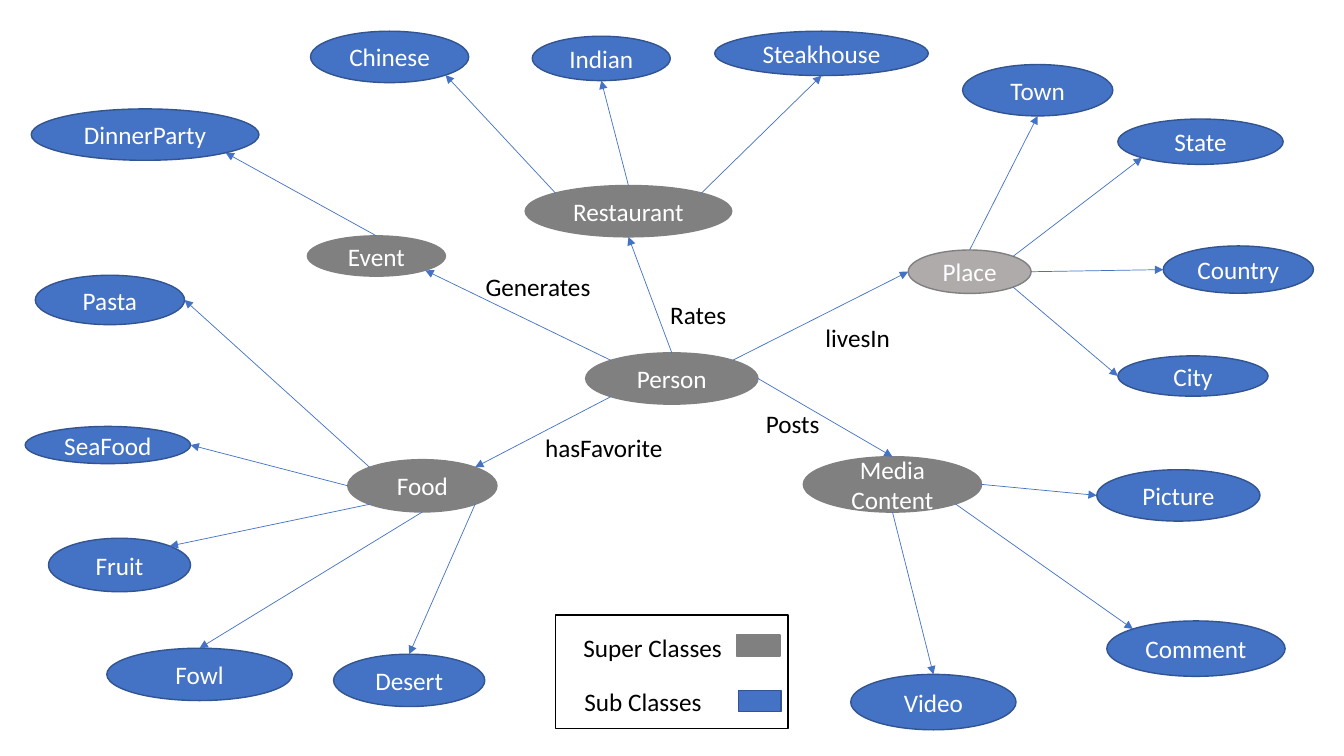
import math

from lxml import etree
from pptx import Presentation
from pptx.dml.color import RGBColor
from pptx.enum import shapes, text
from pptx.oxml.ns import qn
from pptx.util import Pt

HUE = {
    "super": "808080",
    "place": "AFABAB",
    "sub": "4472C4",
    "edge": "325491",
    "white": "FFFFFF",
    "black": "000000",
}
OVAL = shapes.MSO_SHAPE.OVAL
RECT = shapes.MSO_SHAPE.RECTANGLE
# Connection sites of an ellipse, counterclockwise from the top
SITES = ["N", "NW", "W", "SW", "S", "SE", "E", "NE"]

PERSON = (418.3, 252, 123.1, 36.7)
# Hub, box, fill, subclasses: name, offset from hub, size, site at hub, site at sub
HUBS = [
    ("Restaurant", (375.1, 132.5, 147.6, 36.7), "super", [
        ("Chinese", (-153.3, -110.2, 113, 36.7), "NW", "SE"),
        ("Indian", (5.1, -106.6, 98.6, 31.7), "N", "S"),
        ("Steakhouse", (135.4, -110.2, 152.6, 31.7), "NE", "S"),
    ]),
    ("Event", (219.6, 168.5, 98.6, 28.8), "super", [
        ("DinnerParty", (-197.3, -90.7, 162.7, 36.7), "N", "SE"),
    ]),
    ("Place", (648.7, 178.6, 87.8, 31), "place", [
        ("Town", (38.9, -132.5, 107.3, 36.7), "N", "S"),
        ("State", (149.8, -93.6, 118.1, 32.4), "NE", "SW"),
        ("Country", (182.2, -2.9, 107.3, 33.8), "E", "W"),
        ("City", (149.8, 75.6, 107.3, 28.8), "SE", "W"),
    ]),
    ("Food", (248.4, 328.3, 106.6, 37.4), "super", [
        ("Pasta", (-223.2, -131.7, 106.6, 35.3), "NW", "E"),
        ("SeaFood", (-230.4, -23.7, 118.1, 26.6), "W", "E"),
        ("Fruit", (-213.8, 56.2, 101.5, 38.2), "SW", "NE"),
        ("Fowl", (-172.1, 134.7, 132.5, 37.4), "S", "N"),
        ("Desert", (-10.1, 139, 108, 37.4), "SE", "N"),
    ]),
    ("Media Content", (573.8, 326.2, 127.4, 39.6), "super", [
        ("Picture", (209.6, 9.3, 116.6, 36.7), "E", "W"),
        ("Comment", (216.8, 117.3, 127.4, 39.6), "SE", "NW"),
        ("Video", (33.9, 155.5, 118.1, 39.6), "S", "N"),
    ]),
]
# Label, offset from Person and width, hub, site at Person, site at hub
VERBS = [
    ("Posts", (121.7, 36, 86.4), "Media Content", "E", "N"),
    ("Rates", (53.3, -41.8, 60.5), "Restaurant", "N", "S"),
    ("livesIn", (164.2, -25.2, 77), "Place", "NE", "W"),
    ("Generates", (-78.5, -61.9, 113), "Event", "NW", "SE"),
    ("hasFavorite", (-36, 53.3, 100.8), "Food", "SW", "NE"),
]


def rgb(key):
    return RGBColor.from_string(HUE[key])


def write(frame, words, color="black", align=text.PP_ALIGN.LEFT,
          anchor=text.MSO_ANCHOR.TOP):
    frame.word_wrap = True
    frame.vertical_anchor = anchor
    para = frame.paragraphs[0]
    para.alignment = align
    run = para.add_run()
    run.text = words
    run.font.name = "Calibri"
    run.font.size = Pt(18)
    run.font.color.rgb = rgb(color)


def shift(box, left, top, *size):
    """Move an offset so that it counts from the corner of the box."""
    return (box[0] + left, box[1] + top, *size)


def label(slide, words, left, top, width):
    item = slide.shapes.add_textbox(Pt(left), Pt(top), Pt(width), Pt(28.8))
    write(item.text_frame, words)
    item.text_frame.auto_size = text.MSO_AUTO_SIZE.SHAPE_TO_FIT_TEXT


def block(slide, kind, box, fill, edge):
    item = slide.shapes.add_shape(kind, *map(Pt, box))
    item.shadow.inherit = False
    item.fill.solid()
    item.fill.fore_color.rgb = rgb(fill)
    item.line.color.rgb = rgb(edge)
    item.line.width = Pt(1)
    return item


def node(slide, words, box, fill):
    edge = "edge" if fill == "sub" else "super"
    item = block(slide, OVAL, box, fill, edge)
    write(item.text_frame, words, color="white", align=text.PP_ALIGN.CENTER,
          anchor=text.MSO_ANCHOR.MIDDLE)
    return item


def spot(item, site):
    """Return the point of a site on the rim of an ellipse."""
    turn = math.radians(45 * SITES.index(site))
    x = item.left + item.width / 2 * (1 - math.sin(turn))
    y = item.top + item.height / 2 * (1 - math.cos(turn))
    return round(x), round(y)


def link(slide, start, exit, end, entry):
    """Draw an arrow glued to one site of each of two ellipses."""
    line = slide.shapes.add_connector(
        shapes.MSO_CONNECTOR.STRAIGHT, *spot(start, exit), *spot(end, entry))
    line.line.color.rgb = rgb("sub")
    line.line.width = Pt(0.5)
    tree = line.element
    etree.SubElement(tree.find(".//" + qn("a:ln")), qn("a:tailEnd"), type="triangle")
    etree.SubElement(tree.find(qn("p:spPr")), qn("a:effectLst"))
    glue = tree.find(".//" + qn("p:cNvCxnSpPr"))
    for tag, item, site in (("a:stCxn", start, exit), ("a:endCxn", end, entry)):
        etree.SubElement(glue, qn(tag), id=str(item.shape_id),
                         idx=str(SITES.index(site)))


def group(slide, words, box, fill, subs):
    """Draw a superclass in the box with its subclasses around it."""
    hub = node(slide, words, box, fill)
    for name, place, exit, entry in subs:
        sub = node(slide, name, shift(box, *place), "sub")
        link(slide, hub, exit, sub, entry)
    return hub


def center(slide, box, hubs):
    """Draw Person in the box and its named relations to the hubs."""
    person = node(slide, "Person", box, "super")
    for verb, place, name, exit, entry in VERBS:
        link(slide, person, exit, hubs[name], entry)
        label(slide, verb, *shift(box, *place))


def legend(slide, box):
    block(slide, RECT, box, "white", "black")
    label(slide, "Super Classes", *shift(box, 13, 8.6, 122.4))
    label(slide, "Sub Classes", *shift(box, 13.7, 47.5, 122.4))
    block(slide, RECT, shift(box, 129.6, 14.4, 31, 15.1), "super", "super")
    block(slide, RECT, shift(box, 131, 54, 30.2, 15.1), "sub", "edge")


def main():
    deck = Presentation()
    deck.slide_width, deck.slide_height = Pt(960), Pt(540)
    slide = deck.slides.add_slide(deck.slide_layouts[6])
    hubs = {row[0]: group(slide, *row) for row in HUBS}
    center(slide, PERSON, hubs)
    legend(slide, (396.7, 439.2, 166.3, 81.4))
    deck.save("out.pptx")


if __name__ == "__main__":
    main()
